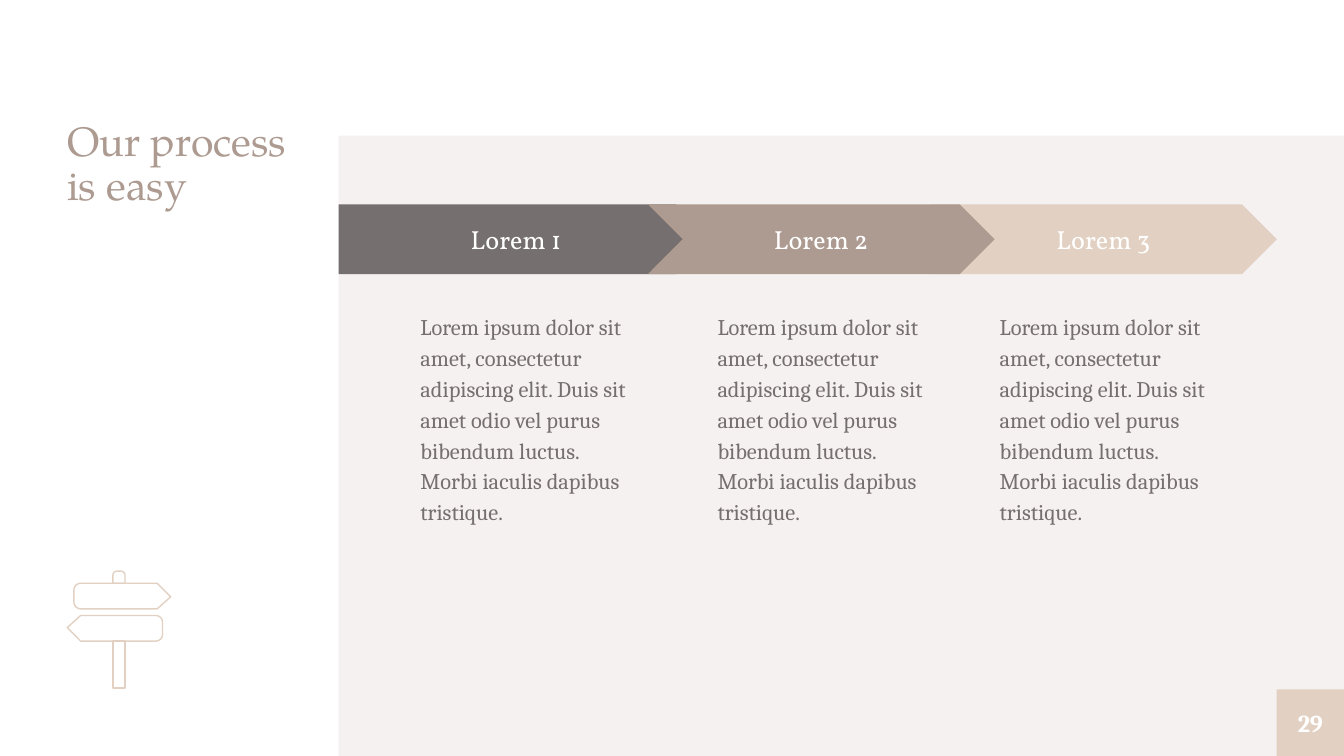
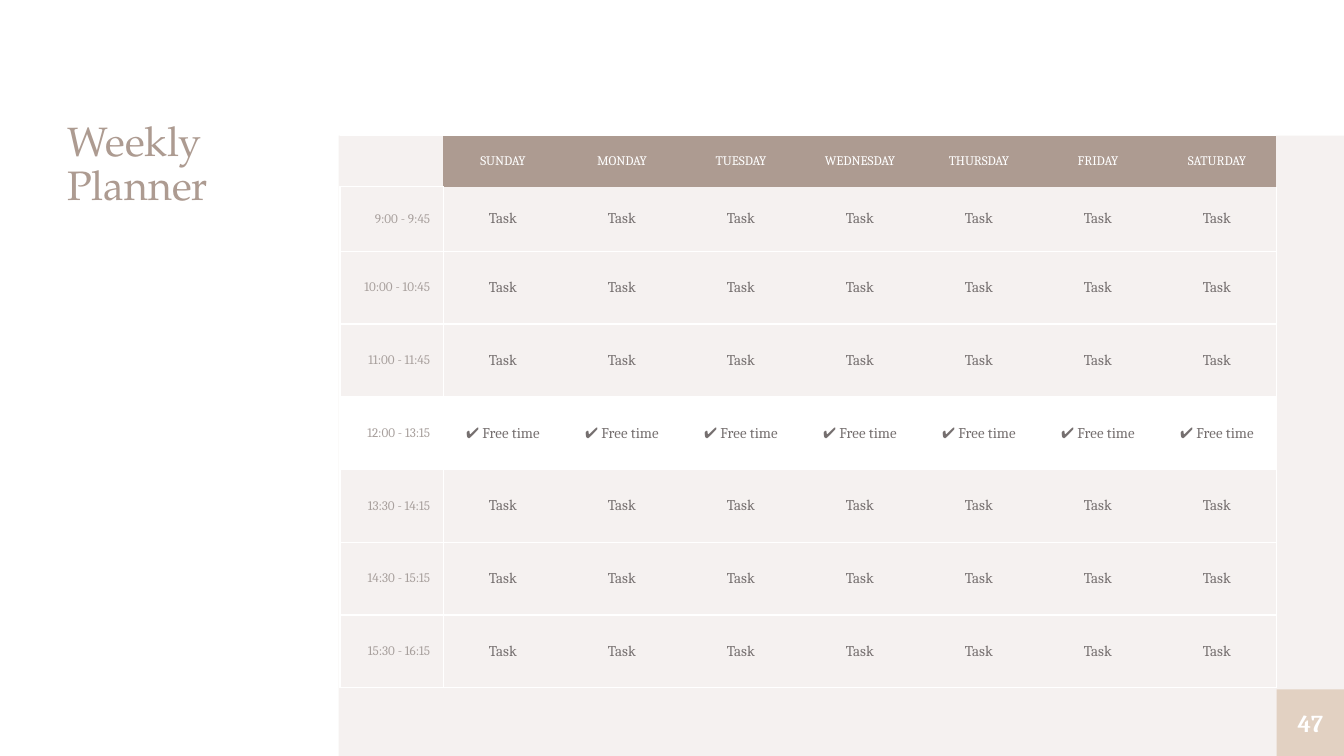
from math import cos, dist, pi, sin

from lxml.etree import SubElement
from pptx import Presentation
from pptx.dml.color import RGBColor
from pptx.enum.shapes import MSO_SHAPE as SHAPE
from pptx.enum.text import MSO_ANCHOR as ANCHOR, MSO_AUTO_SIZE as AUTO_SIZE, PP_ALIGN as ALIGN
from pptx.oxml.ns import qn
from pptx.util import Inches, Pt

WHITE, PANEL, SAND = "FFFFFF", "F5F1F0", "E2D1C2"
TAUPE, GRAY, PALE_GRAY = "AD9B91", "756F6F", "A8A09D"
TITLE_FONT, LABEL_FONT, BODY_FONT = "TeX Gyre Pagella", "Vollkorn", "Cambria"

LOREM = ("Lorem ipsum dolor sit amet, consectetur adipiscing elit. Duis sit amet odio "
         "vel purus bibendum luctus. Morbi iaculis dapibus tristique.")
STEPS = [
    ("Lorem 1", SHAPE.PENTAGON, GRAY, 2.52, 2.77, 3.03),
    ("Lorem 2", SHAPE.CHEVRON, TAUPE, 4.82, 2.58, 5.24),
    ("Lorem 3", SHAPE.CHEVRON, SAND, 6.92, 2.58, 7.34),
]
STACKING = (2, 0, 1)

SIGNPOST = [
    [(0.55, 4.34, 0.05), (1.17, 4.34, 0), (1.27, 4.44, 0), (1.17, 4.53, 0), (0.55, 4.53, 0.05)],
    [(1.21, 4.58, 0.05), (1.21, 4.77, 0.05), (0.6, 4.77, 0), (0.5, 4.67, 0), (0.6, 4.58, 0)],
    [(0.84, 4.34, 0), (0.84, 4.25, 0.03), (0.93, 4.25, 0.03), (0.93, 4.34, 0)],
    [(0.84, 4.77, 0), (0.84, 5.12, 0), (0.93, 5.12, 0), (0.93, 4.77, 0)],
]

DAYS = ["SUNDAY", "MONDAY", "TUESDAY", "WEDNESDAY", "THURSDAY", "FRIDAY", "SATURDAY"]
HOURS = [
    ("9:00 - 9:45", "Task"),
    ("10:00 - 10:45", "Task"),
    ("11:00 - 11:45", "Task"),
    ("12:00 - 13:15", "✔ Free time"),
    ("13:30 - 14:15", "Task"),
    ("14:30 - 15:15", "Task"),
    ("15:30 - 16:15", "Task"),
]
PLANNER_WIDTH, PLANNER_HEIGHT = 6.97, 4.11
HOUR_WIDTH, HEADER_HEIGHT, FIRST_HEIGHT = 0.77, 0.38, 0.48


def rgb(color):
    return RGBColor.from_string(color)


def inches(*lengths):
    return [Inches(length) for length in lengths]


def write(frame, text, size, font, color, align=ALIGN.LEFT, spacing=1.0, bold=False):
    paragraph = frame.paragraphs[0]
    paragraph.alignment = align
    paragraph.line_spacing = spacing
    run = paragraph.add_run()
    run.text = text
    run.font.size, run.font.name, run.font.bold = Pt(size), font, bold
    run.font.color.rgb = rgb(color)


def set_frame(frame, inset, anchor):
    frame.word_wrap = True
    frame.auto_size = AUTO_SIZE.NONE
    frame.vertical_anchor = anchor
    frame.margin_left = frame.margin_right = Inches(inset)
    frame.margin_top = frame.margin_bottom = Inches(inset)


def add_block(shapes, kind, place, color, inset=0):
    block = shapes.add_shape(kind, *inches(*place))
    block.shadow.inherit = False
    block.fill.solid()
    block.fill.fore_color.rgb = rgb(color)
    block.line.fill.background()
    set_frame(block.text_frame, inset, ANCHOR.MIDDLE)
    return block


def prepare_layout(layout, slide):
    """Put the shared panel behind every slide of the layout."""
    for placeholder in list(layout.placeholders)[1:]:
        layout.shapes.element.remove(placeholder.element)
    panel = add_block(slide.shapes, SHAPE.RECTANGLE, (2.52, 1.01, 7.48, 4.62), PANEL)
    layout.shapes.element.insert(2, panel.element)


def start_slide(deck, title, number):
    layout = deck.slide_layouts[5]
    slide = deck.slides.add_slide(layout)
    if len(deck.slides) == 1:
        prepare_layout(layout, slide)
    heading = slide.shapes.title
    heading.left, heading.top, heading.width, heading.height = inches(0.5, 0.9, 1.78, 4.23)
    set_frame(heading.text_frame, 0, ANCHOR.TOP)
    write(heading.text_frame, title, 22, TITLE_FONT, TAUPE, spacing=0.9)
    page = add_block(slide.shapes, SHAPE.RECTANGLE, (9.5, 5.13, 0.5, 0.5), SAND)
    write(page.text_frame, number, 13, BODY_FONT, WHITE, ALIGN.CENTER, bold=True)
    return slide


def round_corner(before, corner, after, steps=6):
    """Return the points of an arc that replaces a right-angled corner."""
    x, y, radius = corner
    if not radius:
        return [(x, y)]

    def toward(point):
        reach = radius / dist((x, y), point[:2])
        return (point[0] - x) * reach, (point[1] - y) * reach

    (bx, by), (ax, ay) = toward(before), toward(after)
    angles = [pi / 2 * i / steps for i in range(steps + 1)]
    return [(x + bx * (1 - sin(t)) + ax * (1 - cos(t)),
             y + by * (1 - sin(t)) + ay * (1 - cos(t))) for t in angles]


def add_signpost(slide):
    signpost = slide.shapes.add_group_shape()
    for corners in SIGNPOST:
        points = []
        for i, corner in enumerate(corners):
            after = corners[(i + 1) % len(corners)]
            points += round_corner(corners[i - 1], corner, after)
        outline = [inches(*point) for point in points]
        builder = signpost.shapes.build_freeform(*outline[0])
        builder.add_line_segments(outline[1:], close=True)
        part = builder.convert_to_shape()
        part.shadow.inherit = False
        part.fill.background()
        part.line.color.rgb = rgb(SAND)
        part.line.width = Pt(0.75)


def add_step(slide, label, kind, color, left, width, text_left):
    step = slide.shapes.add_group_shape()
    arrow = add_block(step.shapes, kind, (left, 1.52, width, 0.52), color, 0.1)
    write(arrow.text_frame, label, 14, LABEL_FONT, WHITE, ALIGN.CENTER)
    details = step.shapes.add_textbox(*inches(text_left, 2.2, 1.75, 2.04)).text_frame
    set_frame(details, 0.1, ANCHOR.TOP)
    write(details, LOREM, 12, BODY_FONT, GRAY, spacing=1.15)


def set_borders(cell, edges):
    """Draw the white edges of a cell and clear the others."""
    properties = cell._tc.get_or_add_tcPr()
    for position, (edge, shown) in enumerate(edges.items()):
        line = SubElement(properties, qn(f"a:{edge}"), w=str(Pt(0.75)))
        properties.insert(position, line)
        if shown:
            SubElement(SubElement(line, qn("a:solidFill")), qn("a:srgbClr"), val=WHITE)
        else:
            SubElement(line, qn("a:noFill"))


def fill_cell(cell, text, row, column):
    cell.vertical_anchor = ANCHOR.MIDDLE
    inset = Inches(0.1 if text else 0)
    cell.margin_left = cell.margin_right = cell.margin_top = cell.margin_bottom = inset
    if row == 0:
        size, color, align = 7, WHITE, ALIGN.CENTER
    elif column == 0:
        size, color, align = 7, PALE_GRAY, ALIGN.RIGHT
    else:
        size, color, align = 8, GRAY, ALIGN.CENTER
    if text:
        write(cell.text_frame, text, size, BODY_FONT, color, align)

    free_time = row > 0 and HOURS[row - 1][1] != "Task"
    background = TAUPE if row == 0 and column else WHITE if free_time else None
    if background:
        cell.fill.solid()
        cell.fill.fore_color.rgb = rgb(background)
    else:
        cell.fill.background()
    set_borders(cell, {
        "lnL": row > 0 and column <= 1,
        "lnR": row > 0 and column in (0, len(DAYS)),
        "lnT": row != 1 or column == 0,
        "lnB": row > 0 or column == 0,
    })


def add_planner(slide):
    rows = [["", *DAYS]] + [[hour] + [task] * len(DAYS) for hour, task in HOURS]
    day_width = (PLANNER_WIDTH - HOUR_WIDTH) / len(DAYS)
    later_height = (PLANNER_HEIGHT - HEADER_HEIGHT - FIRST_HEIGHT) / (len(HOURS) - 1)
    widths = [HOUR_WIDTH] + [day_width] * len(DAYS)
    heights = [HEADER_HEIGHT, FIRST_HEIGHT] + [later_height] * (len(HOURS) - 1)
    place = inches(2.53, 1.01, PLANNER_WIDTH, PLANNER_HEIGHT)
    planner = slide.shapes.add_table(len(rows), len(widths), *place).table
    planner.first_row = planner.horz_banding = False
    for column, width in zip(planner.columns, widths):
        column.width = Inches(width)
    for row, height in zip(planner.rows, heights):
        row.height = Inches(height)
    for r, texts in enumerate(rows):
        for c, text in enumerate(texts):
            fill_cell(planner.cell(r, c), text, r, c)


def main():
    deck = Presentation()
    deck.slide_width = Inches(10)
    deck.slide_height = deck.slide_width * 9 // 16

    process = start_slide(deck, "Our process is easy", "29")
    add_signpost(process)
    for index in STACKING:
        add_step(process, *STEPS[index])

    add_planner(start_slide(deck, "Weekly Planner", "47"))
    deck.save("out.pptx")


if __name__ == "__main__":
    main()
